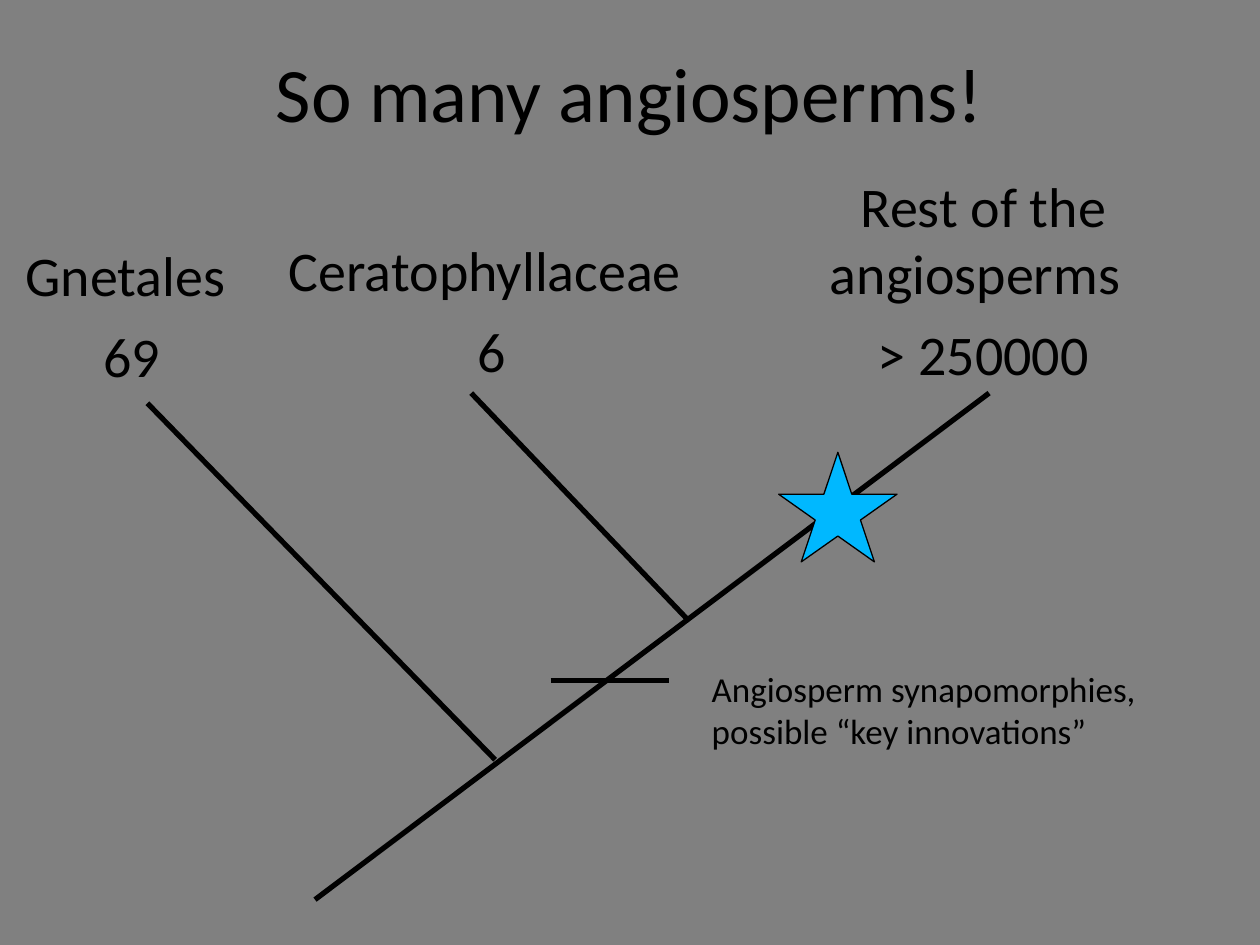
from lxml.etree import SubElement
from pptx import Presentation
from pptx.dml.color import RGBColor
from pptx.enum.shapes import MSO_CONNECTOR, MSO_SHAPE
from pptx.enum.text import MSO_ANCHOR, MSO_AUTO_SIZE, PP_ALIGN
from pptx.oxml.ns import qn
from pptx.util import Inches, Pt

COLORS = {"bg": "808080", "ink": "000000", "star": "00B8FF"}
COLS, ROWS = 100, 75
WIDTH, HEIGHT = Inches(10), Inches(7.5)
HANGING, SLIGHT = (0.37, -0.37), (0.01, 0.03)


def rgb(name):
    """Return the named colour."""
    return RGBColor.from_string(COLORS[name])


def grid(*cells):
    """Turn alternating columns and rows into slide lengths."""
    units = (WIDTH / COLS, HEIGHT / ROWS)
    return [round(c * units[i % 2]) for i, c in enumerate(cells)]


def set_line(line, width):
    """Give a line the ink colour and a width in points."""
    line.color.rgb = rgb("ink")
    line.width = Pt(width)


def add_text(s, at, paras, size, para_format=None, frame_format=None, indent=None):
    """Add a wrapped text box with one run per paragraph."""
    tf = s.shapes.add_textbox(*grid(*at)).text_frame
    for key, value in {"word_wrap": True, **(frame_format or {})}.items():
        setattr(tf, key, value)
    for i, text in enumerate(paras):
        p = tf.add_paragraph() if i else tf.paragraphs[0]
        for key, value in (para_format or {}).items():
            if i or key != "space_before":
                setattr(p, key, value)
        if indent:
            pPr = p._p.get_or_add_pPr()
            for key, value in zip(("marL", "indent"), indent):
                pPr.set(key, str(Inches(value)))
        r = p.add_run()
        r.text = text
        for key, value in {"name": "Calibri", "size": Pt(size)}.items():
            setattr(r.font, key, value)
        r.font.color.rgb = rgb("ink")


def add_branch(s, ends):
    """Draw one straight line of the tree."""
    c = s.shapes.add_connector(MSO_CONNECTOR.STRAIGHT, *grid(*ends))
    set_line(c.line, 3)
    SubElement(c._element.spPr, qn("a:effectLst"))


def add_star(s, at):
    """Mark the species-rich branch with a star."""
    sp = s.shapes.add_shape(MSO_SHAPE.STAR_5_POINT, *grid(*at))
    sp.shadow.inherit = False
    sp.fill.solid()
    sp.fill.fore_color.rgb = rgb("star")
    set_line(sp.line, 0.75)


def main():
    """Build the angiosperm tree slide."""
    prs = Presentation()
    prs.slide_width, prs.slide_height = WIDTH, HEIGHT
    s = prs.slides.add_slide(prs.slide_layouts[6])
    s.background.fill.solid()
    s.background.fill.fore_color.rgb = rgb("bg")

    centred = {"alignment": PP_ALIGN.CENTER}
    add_text(s, (5, 1.4, 90, 11.7), ["So many angiosperms!"], 44, centred,
             {"vertical_anchor": MSO_ANCHOR.MIDDLE})

    groups = [
        ((-2, 18.6, 24.9, 12.6), ["Gnetales ", "69"], HANGING),
        ((21.4, 18.2, 35.2, 12.6), ["Ceratophyllaceae ", "6"], HANGING),
        ((57.9, 13.1, 39.9, 12.6), ["Rest of the angiosperms ", "> 250000"], SLIGHT),
    ]
    for at, paras, indent in groups:
        add_text(s, at, paras, 32, {**centred, "space_before": Pt(8)}, indent=indent)

    branches = [
        (25, 71.4, 78.5, 31.2),
        (37.4, 31.2, 54.7, 49.3),
        (11.7, 32, 39.3, 60.3),
        (43.7, 54, 53.1, 54),
    ]
    for ends in branches:
        add_branch(s, ends)

    add_text(s, (55.5, 52.5, 37.8, 7.7),
             ["Angiosperm synapomorphies, possible “key innovations”"], 20,
             frame_format={"auto_size": MSO_AUTO_SIZE.SHAPE_TO_FIT_TEXT})
    add_star(s, (61.8, 35.9, 9.4, 8.7))
    prs.save("out.pptx")


if __name__ == "__main__":
    main()
